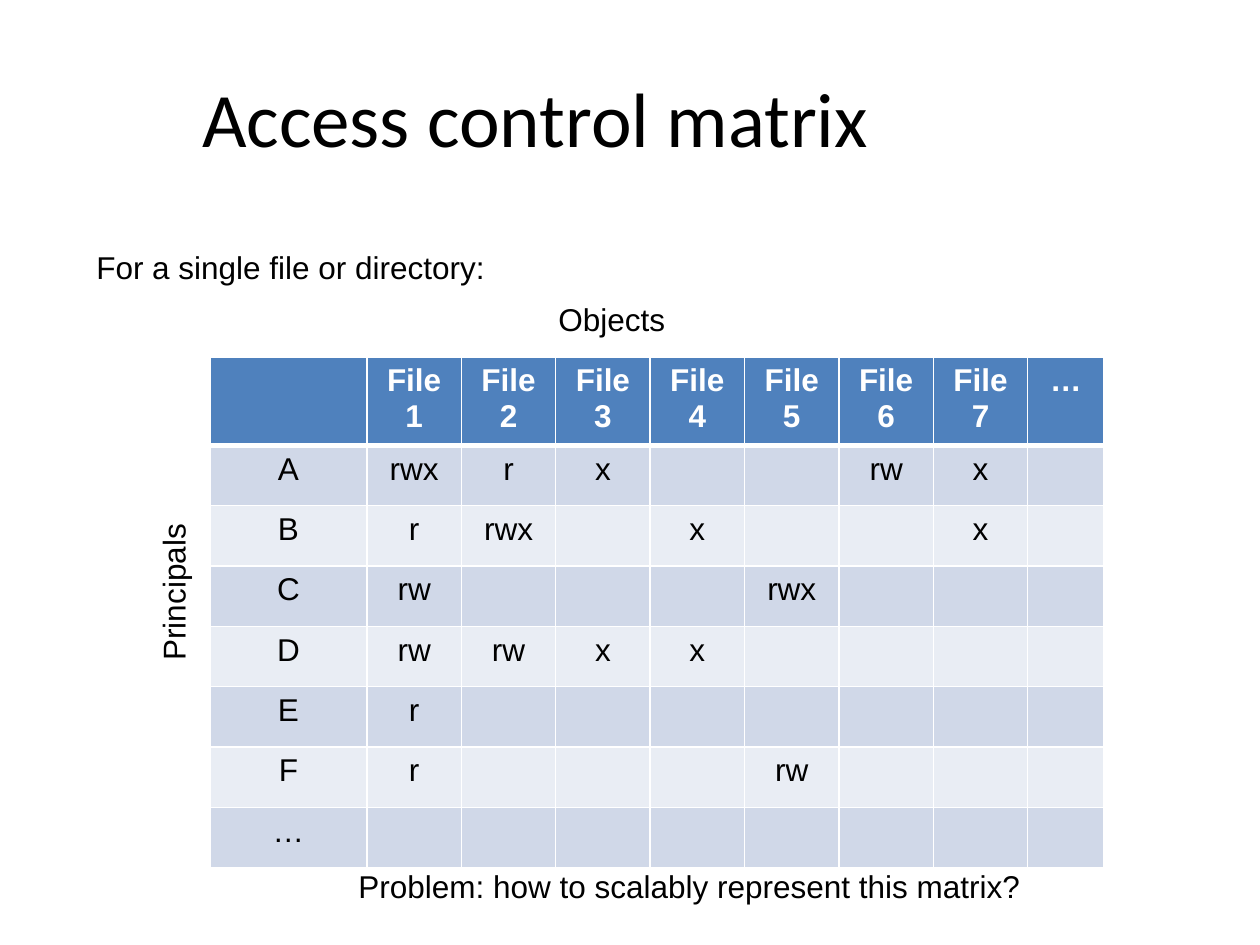
from lxml.etree import SubElement
from pptx import Presentation
from pptx.dml.color import RGBColor
from pptx.enum.text import MSO_ANCHOR, MSO_AUTO_SIZE, PP_ALIGN
from pptx.oxml.ns import qn
from pptx.util import Pt

EMU_PER_PIXEL = 914400 / 126
BLACK, WHITE = "000000", "FFFFFF"
HEADER_BLUE = "4F81BD"
BAND_FILLS = ("E9EDF4", "D0D8E8")
TITLE_FONT, BODY_FONT = "Calibri", "Arial"
TITLE_SIZE, BODY_SIZE = 44, 18
THIN, THICK = 1, 3

FILE_COUNT = 7
MORE = "…"
RIGHTS = {
    "A": {1: "rwx", 2: "r", 3: "x", 6: "rw", 7: "x"},
    "B": {1: "r", 2: "rwx", 4: "x", 7: "x"},
    "C": {1: "rw", 5: "rwx"},
    "D": {1: "rw", 2: "rw", 3: "x", 4: "x"},
    "E": {1: "r"},
    "F": {1: "r", 5: "rw"},
    MORE: {},
}

MATRIX_BOX = (210, 357, 894, 483)
PRINCIPAL_WIDTH, MORE_WIDTH = 157, 76

LABELS = [
    ("Objects", (546, 294, 134, 50), 0),
    ("Principals", (91, 566, 164, 50), 270),
    ("For a single file or directory:", (84, 242, 455, 50), 0),
    ("Problem: how to scalably represent this matrix?", (346, 861, 752, 50), 0),
]


def px(length):
    """Convert picture pixels to EMU."""
    return round(length * EMU_PER_PIXEL)


def color(value):
    """Turn a hex string into a colour."""
    return RGBColor.from_string(value)


def format_text(frame, size, font, ink, bold=False):
    """Format every run of a text frame."""
    for paragraph in frame.paragraphs:
        for run in paragraph.runs:
            run.font.size = Pt(size)
            run.font.name = font
            run.font.bold = bold
            run.font.color.rgb = color(ink)


def add_title(slide, wording, box):
    """Fill and place the title placeholder."""
    title = slide.shapes.title
    title.left, title.top, title.width, title.height = map(px, box)
    frame = title.text_frame
    frame.text = wording
    frame.vertical_anchor = MSO_ANCHOR.MIDDLE
    frame.paragraphs[0].alignment = PP_ALIGN.CENTER
    format_text(frame, TITLE_SIZE, TITLE_FONT, BLACK)


def add_label(slide, wording, box, rotation):
    """Add a one-line label beside the matrix."""
    label = slide.shapes.add_textbox(*map(px, box))
    label.rotation = rotation
    frame = label.text_frame
    frame.text = wording
    frame.word_wrap = False
    frame.auto_size = MSO_AUTO_SIZE.SHAPE_TO_FIT_TEXT
    format_text(frame, BODY_SIZE, BODY_FONT, BLACK)


def set_borders(cell, top, bottom):
    """Draw white cell borders, with widths in points."""
    properties = cell._tc.get_or_add_tcPr()
    widths = {"a:lnL": THIN, "a:lnR": THIN, "a:lnT": top, "a:lnB": bottom}
    for index, (side, width) in enumerate(widths.items()):
        border = SubElement(properties, qn(side), w=str(Pt(width)))
        fill = SubElement(border, qn("a:solidFill"))
        SubElement(fill, qn("a:srgbClr"), val=WHITE)
        properties.insert(index, border)


def fill_cell(cell, wording, row):
    """Write and style one cell of the matrix."""
    header = row == 0
    cell.fill.solid()
    cell.fill.fore_color.rgb = color(HEADER_BLUE if header else BAND_FILLS[row % 2])
    set_borders(cell, THICK if row == 1 else THIN, THICK if header else THIN)
    cell.text_frame.text = wording
    cell.text_frame.paragraphs[0].alignment = PP_ALIGN.CENTER
    format_text(cell.text_frame, BODY_SIZE, BODY_FONT, WHITE if header else BLACK, header)


def matrix_rows():
    """Spread the granted rights over one header row and a row per principal."""
    files = range(1, FILE_COUNT + 1)
    header = ["", *(f"File{number}" for number in files), MORE]
    body = [
        [principal, *(granted.get(number, "") for number in files), ""]
        for principal, granted in RIGHTS.items()
    ]
    return [header, *body]


def add_matrix(slide):
    """Add the access matrix with equal file columns and equal rows."""
    rows = matrix_rows()
    width, height = MATRIX_BOX[2:]
    file_width = (width - PRINCIPAL_WIDTH - MORE_WIDTH) / FILE_COUNT
    widths = [PRINCIPAL_WIDTH, *[file_width] * FILE_COUNT, MORE_WIDTH]
    frame = slide.shapes.add_table(len(rows), len(widths), *map(px, MATRIX_BOX))
    matrix = frame.table
    for column, column_width in zip(matrix.columns, widths):
        column.width = px(column_width)
    for row, wordings in enumerate(rows):
        matrix.rows[row].height = px(height / len(rows))
        for column, wording in enumerate(wordings):
            fill_cell(matrix.cell(row, column), wording, row)


def main():
    """Build and save the slide."""
    presentation = Presentation()
    presentation.slide_width, presentation.slide_height = px(1260), px(945)
    title_only = presentation.slide_layouts.get_by_name("Title Only")
    slide = presentation.slides.add_slide(title_only)
    add_title(slide, "Access control matrix", (63, 38, 945, 158))
    for wording, box, rotation in LABELS:
        add_label(slide, wording, box, rotation)
    add_matrix(slide)
    presentation.save("out.pptx")


main()
